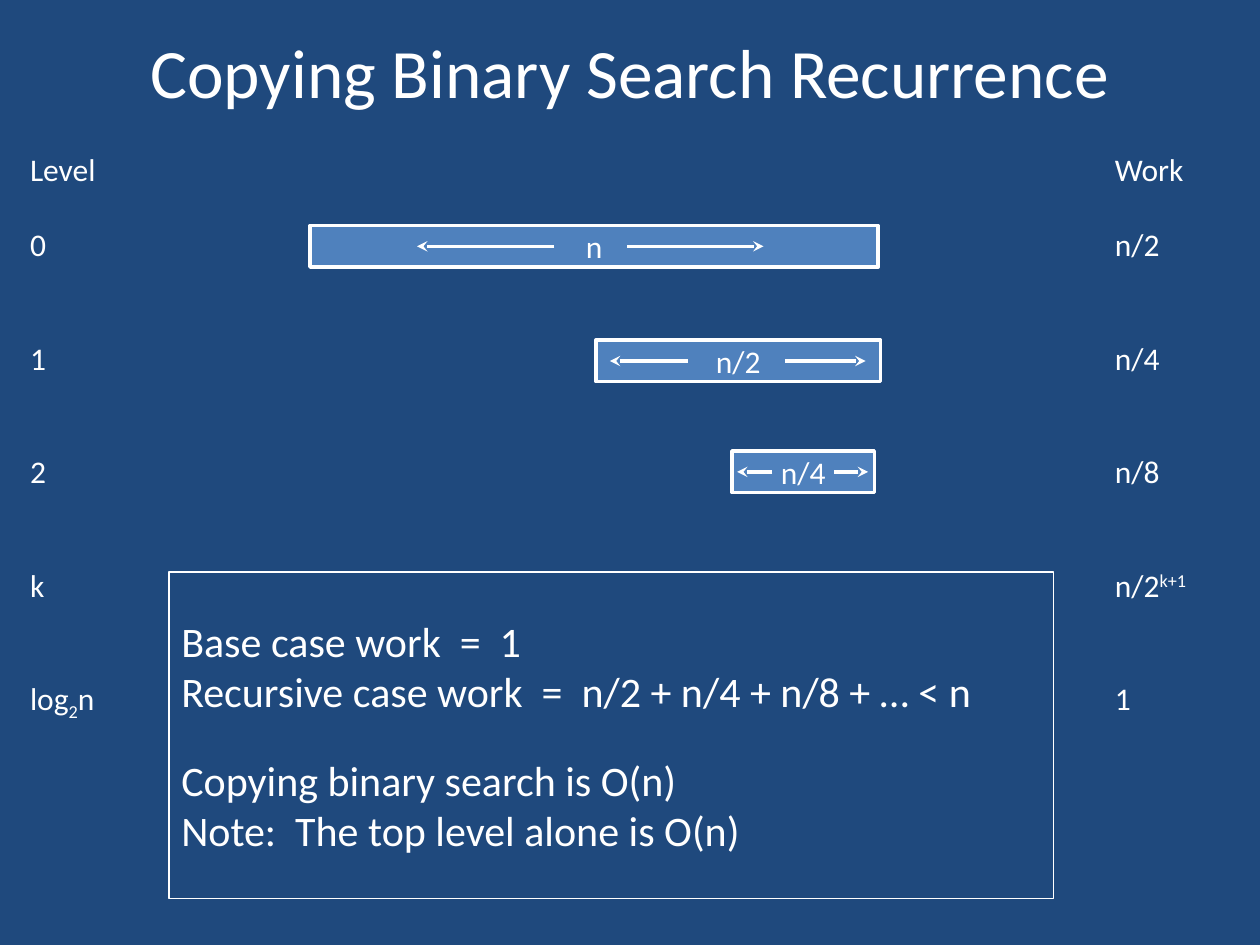
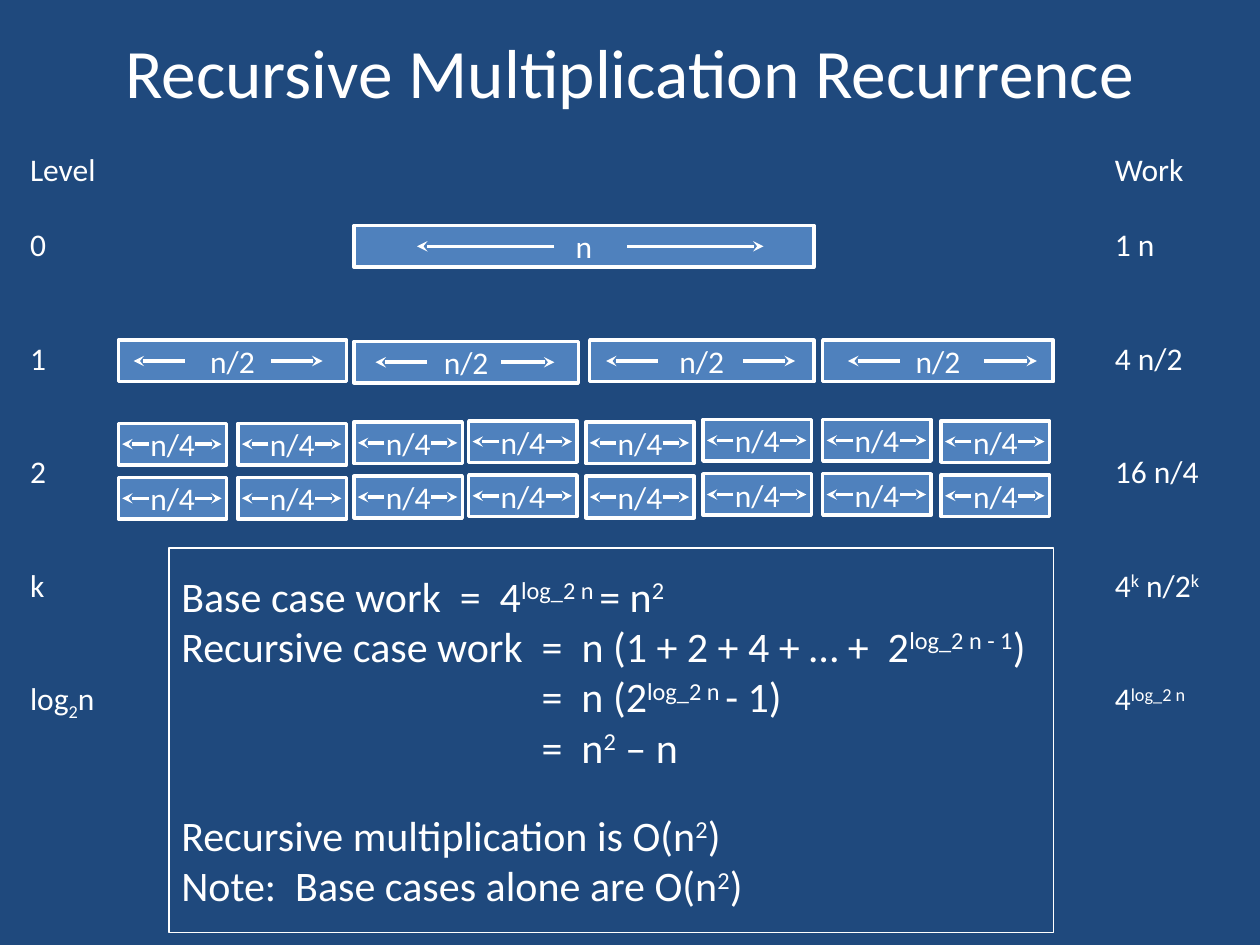
from lxml import etree
from pptx import Presentation
from pptx.dml.color import RGBColor
from pptx.enum.shapes import MSO_CONNECTOR, MSO_SHAPE
from pptx.enum.text import MSO_ANCHOR, MSO_AUTO_SIZE, PP_ALIGN
from pptx.oxml.ns import qn
from pptx.util import Inches, Pt

RECTANGLE, STRAIGHT = MSO_SHAPE.RECTANGLE, MSO_CONNECTOR.STRAIGHT
LEFT, CENTER = PP_ALIGN.LEFT, PP_ALIGN.CENTER
TOP, MIDDLE = MSO_ANCHOR.TOP, MSO_ANCHOR.MIDDLE
NO_FIT = MSO_AUTO_SIZE.NONE
TITLE_ONLY = 5

NAVY, BLUE, WHITE = "1F497D", "4F81BD", "FFFFFF"
FONT = "Calibri"
BAR_HEIGHT = 0.33
LINE = 21.6  # height of one 18 pt line, in points
SHIFTS = {"^": "30000", "~": "-25000"}  # ^superscript^ and ~subscript~


def color(value):
    """Turn a hex string into a colour."""
    return RGBColor.from_string(value)


def write(frame, lines, size=18, align=LEFT, anchor=TOP, gaps=(), indents=()):
    """Fill a frame with lines; gaps and indents map a line number to its value."""
    gaps, indents = dict(gaps), dict(indents)
    frame.word_wrap = True
    frame.auto_size = NO_FIT
    frame.vertical_anchor = anchor
    for number, line in enumerate(lines):
        para = frame.paragraphs[0] if number == 0 else frame.add_paragraph()
        para.alignment = align
        if number in gaps:
            para.space_before = Pt(gaps[number])
        if number in indents:
            properties = para._p.get_or_add_pPr()
            properties.set("marL", str(Inches(indents[number])))
            properties.set("indent", "0")
        mark = "~" if "~" in line else "^"
        for index, part in enumerate(line.split(mark)):
            if not part:
                continue
            span = para.add_run()
            span.text = part
            span.font.name = FONT
            span.font.size = Pt(size)
            span.font.color.rgb = color(WHITE)
            if index % 2:
                span.font._element.set("baseline", SHIFTS[mark])


class RecurrenceDeck:
    """Holds the deck's style and the current page."""

    def __init__(self):
        """Open a 4:3 deck on a navy background."""
        self.deck = Presentation()
        self.deck.slide_width, self.deck.slide_height = Inches(10), Inches(7.5)
        fill = self.deck.slide_master.background.fill
        fill.solid()
        fill.fore_color.rgb = color(NAVY)
        self.page = None

    def add_page(self, title):
        """Start a page with its title."""
        self.page = self.deck.slides.add_slide(self.deck.slide_layouts[TITLE_ONLY])
        box = self.page.shapes.title
        box.left, box.top = Inches(0.5), Inches(0.17)
        box.width, box.height = Inches(9), Inches(0.78)
        write(box.text_frame, [title], size=39.6, align=CENTER, anchor=MIDDLE)

    def column(self, left, width, height, lines):
        """Add a column: a heading, then one entry per level."""
        box = self.page.shapes.add_textbox(
            Inches(left), Inches(1.14), Inches(width), Inches(height))
        gaps = {number: 2 * LINE for number in range(2, len(lines))}
        write(box.text_frame, lines, gaps={1: LINE, **gaps})

    def levels_and_work(self, work, width):
        """Add the level column and the work column."""
        self.column(0.14, 0.73, 4.95, ["Level", "0", "1", "2", "k", "log~2~n"])
        self.column(8.75, width, 4.65, ["Work", *work])

    def rectangle(self, shapes, left, top, width, height, line_width, fill=None):
        """Add a white-edged rectangle, filled or clear."""
        box = shapes.add_shape(
            RECTANGLE, Inches(left), Inches(top), Inches(width), Inches(height))
        box.shadow.inherit = False
        box.line.color.rgb = color(WHITE)
        box.line.width = Pt(line_width)
        if fill:
            box.fill.solid()
            box.fill.fore_color.rgb = color(fill)
        else:
            box.fill.background()
        return box

    def arrow(self, shapes, start, end, y):
        """Add a level arrow with a stealth head at its end."""
        line = shapes.add_connector(
            STRAIGHT, Inches(start), Inches(y), Inches(end), Inches(y))
        line.line.color.rgb = color(WHITE)
        line.line.width = Pt(2)
        head = etree.SubElement(line.line._get_or_add_ln(), qn("a:tailEnd"))
        head.set("type", "stealth")
        etree.SubElement(line._element.spPr, qn("a:effectLst"))

    def bars(self, label, width, bars):
        """Group one level's bars, each (left, top, width change, arrow ends)."""
        shapes = self.page.shapes.add_group_shape().shapes
        for left, top, extra, ends in bars:
            box = self.rectangle(
                shapes, left, top, width + extra, BAR_HEIGHT, 2, fill=BLUE)
            write(box.text_frame, [label], align=CENTER, anchor=MIDDLE)
            outer_left, inner_left, inner_right, outer_right = ends
            middle = top + BAR_HEIGHT / 2
            self.arrow(shapes, inner_right, outer_right, middle)
            self.arrow(shapes, inner_left, outer_left, middle)

    def summary(self, top, height, lines, gaps, indents=()):
        """Add the outlined box with the total work."""
        box = self.rectangle(self.page.shapes, 1.34, top, 7.02, height, 0.75)
        write(box.text_frame, lines, size=24, anchor=MIDDLE,
              gaps=gaps, indents=indents)


def binary_search_page(show):
    """Build the page on copying binary search."""
    show.add_page("Copying Binary Search Recurrence")
    show.bars("n", 4.51, [(2.46, 1.79, 0, (3.31, 4.4, 4.98, 6.06))])
    show.bars("n/2", 2.26, [(4.73, 2.7, 0, (4.84, 5.46, 6.23, 6.87))])
    show.levels_and_work(["n/2", "n/4", "n/8", "n/2^k+1^", "1"], 1.13)
    show.summary(4.54, 2.59, [
        "Base case work  =  1",
        "Recursive case work  =  n/2 + n/4 + n/8 + … < n",
        "Copying binary search is O(n)",
        "Note:  The top level alone is O(n)",
    ], gaps={2: LINE})
    show.bars("n/4", 1.13, [(5.81, 3.58, 0, (5.85, 6.13, 6.62, 6.89))])


def multiplication_page(show):
    """Build the page on recursive multiplication."""
    show.add_page("Recursive Multiplication Recurrence")
    show.bars("n", 3.65, [(2.81, 1.79, 0, (3.31, 4.4, 4.98, 6.06))])
    show.bars("n/2", 1.78, [
        (0.94, 2.7, 0.03, (1.06, 1.47, 2.15, 2.56)),
        (2.81, 2.71, 0, (2.98, 3.39, 3.98, 4.4)),
        (4.68, 2.7, 0, (4.81, 5.22, 5.9, 6.31)),
        (6.53, 2.7, 0.05, (6.73, 7.14, 7.81, 8.23)),
    ])
    show.levels_and_work(
        ["1 n", "4 n/2", "16 n/4", "4^k^ n/2^k^", "4^log_2 n^"], 0.9)
    show.summary(4.35, 3.05, [
        "Base case work  =  4^log_2 n ^= n^2^",
        "Recursive case work  =  n (1 + 2 + 4 + … +  2^log_2 n - 1^)",
        "=  n (2^log_2 n ^- 1)",
        "=  n^2^ – n",
        "Recursive multiplication is O(n^2^)",
        "Note:  Base cases alone are O(n^2^)",
    ], gaps={4: LINE}, indents={2: 2.86, 3: 2.86})
    quarters = [(0.94, 3.36), (1.89, 3.36), (2.81, 3.35), (3.72, 3.34),
                (4.65, 3.35), (5.58, 3.33), (6.53, 3.33), (7.47, 3.34)]
    offsets = (0.03, 0.24, 0.61, 0.82)
    show.bars("n/4", 0.86, [
        (left, top + drop, 0, [left + offset for offset in offsets])
        for drop in (0, 0.43) for left, top in quarters])


show = RecurrenceDeck()
binary_search_page(show)
multiplication_page(show)
show.deck.save("out.pptx")
